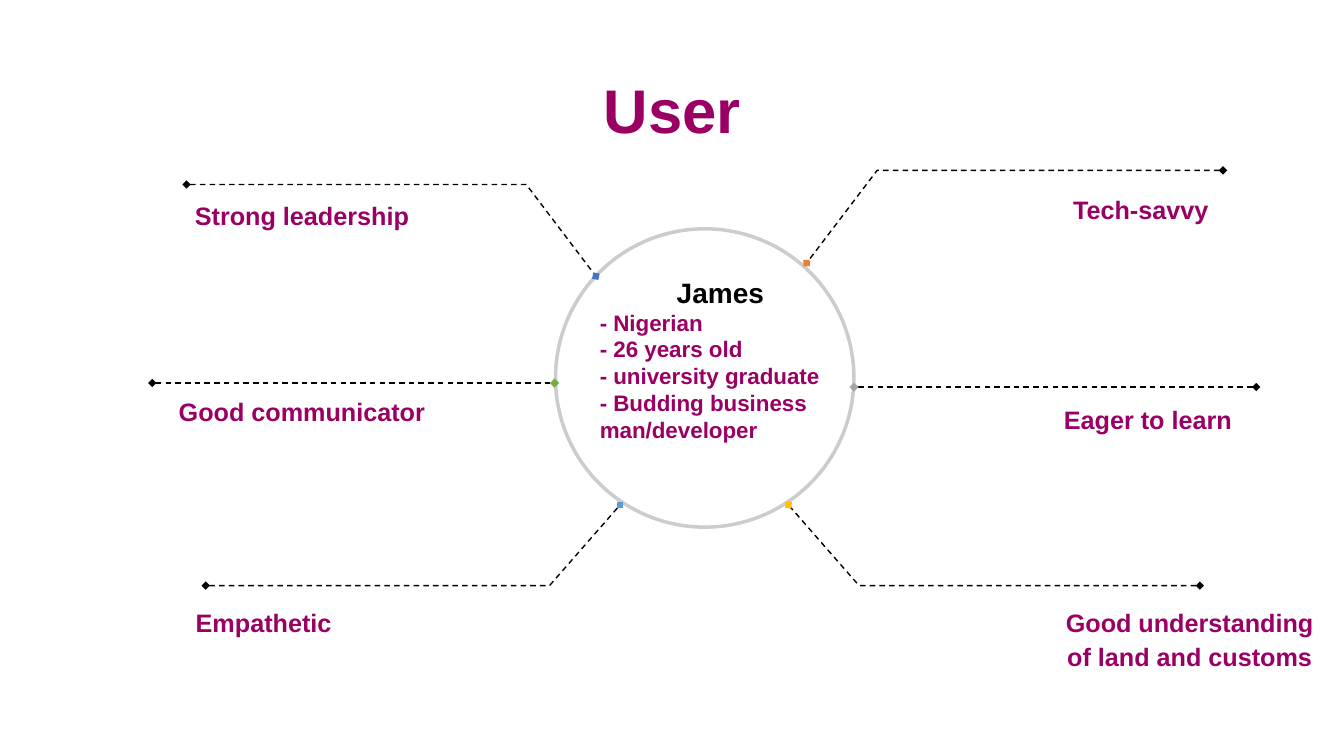
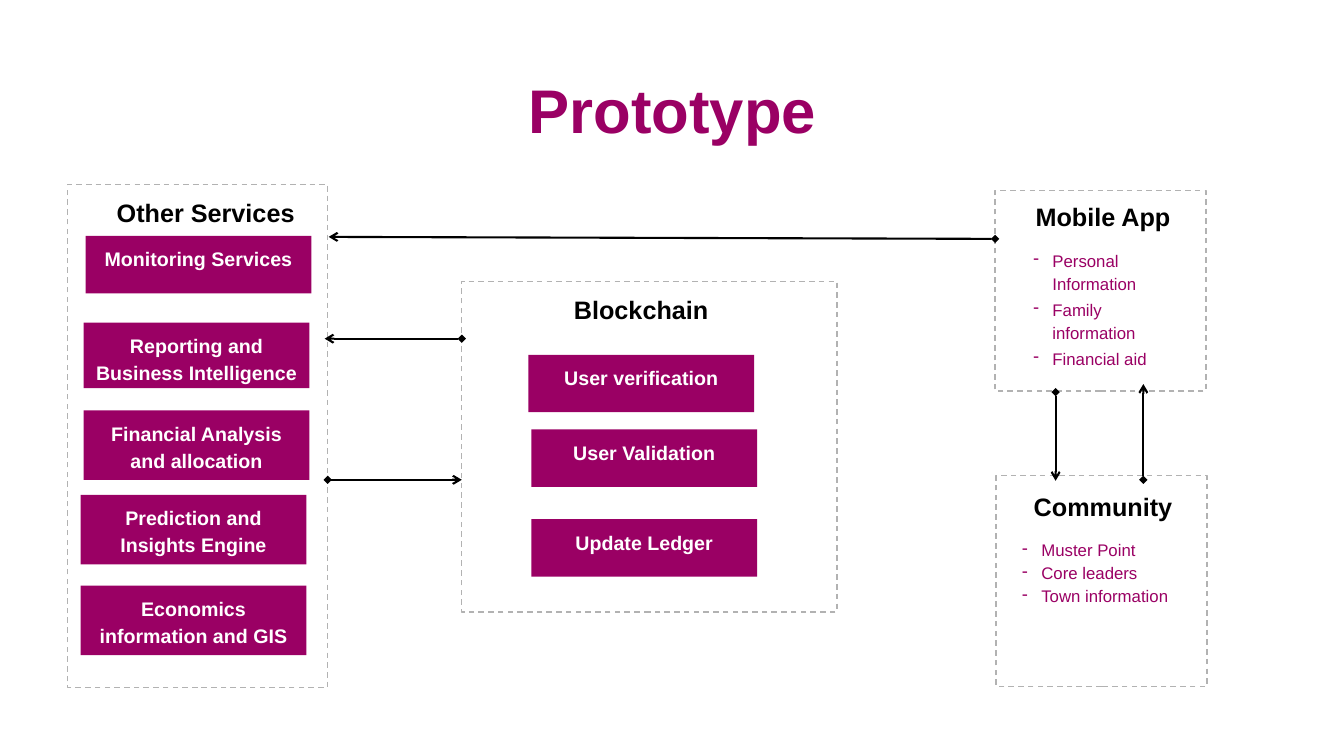
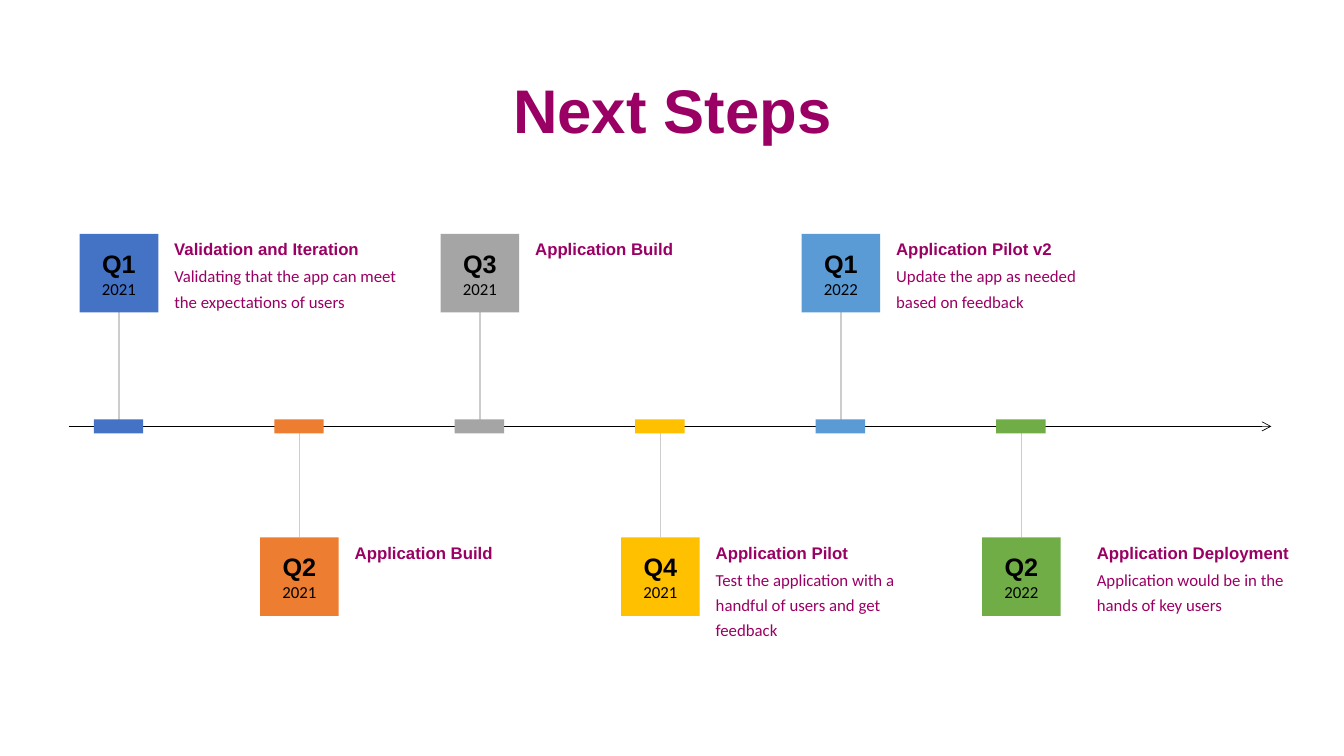
from dataclasses import dataclass, replace

from pptx import Presentation, util as u
from pptx.dml import color
from pptx.enum import dml, shapes, text
from pptx.oxml import ns
from lxml import etree

PLUM, BLACK, WHITE = "9A0064", "000000", "FFFFFF"
PALE, GREY = "CCCCCC", "B2B2B2"
BLUE, ORANGE, SILVER = "4472C4", "ED7D31", "A5A5A5"
GOLD, SKY, GREEN = "FFC000", "5B9BD5", "70AD47"

LEFT, CENTER = text.PP_ALIGN.LEFT, text.PP_ALIGN.CENTER
TOP, MIDDLE = text.MSO_ANCHOR.TOP, text.MSO_ANCHOR.MIDDLE
KIND = shapes.MSO_SHAPE


@dataclass(frozen=True)
class Style:
    size: float
    hue: str = PLUM
    bold: bool = True
    font: str = "Arial"
    align: int = CENTER
    lead: float = 1.0
    after: float = 0
    dash: bool = False


@dataclass(frozen=True)
class Box:
    left: float
    top: float
    width: float
    height: float

    def emu(self) -> list:
        return [u.Inches(v) for v in (self.left, self.top, self.width, self.height)]


@dataclass(frozen=True)
class Pen:
    hue: str = BLACK
    width: float = 1
    dash: bool = False
    head: str = ""
    tail: str = ""


@dataclass(frozen=True)
class Branch:
    label: str
    spot: Box
    points: tuple
    hue: str
    turn: float = 0


@dataclass(frozen=True)
class Card:
    label: str
    left: float
    top: float
    height: float = 0.57


@dataclass(frozen=True)
class Panel:
    label: str
    box: Box
    mid: float
    top: float


@dataclass(frozen=True)
class Step:
    quarter: str
    year: str
    hue: str
    label: str
    body: str = ""
    nudge: float = 0


TITLE = Style(44, lead=0.9)
HEAD = Style(18, BLACK)
TRAIT = Style(18, lead=1.14)
NAME = Style(20, BLACK)
FACT = Style(16, align=LEFT)
LABEL = Style(14, WHITE, lead=1.14, after=2)
ITEM = Style(12, bold=False, align=LEFT, lead=1.14, dash=True)
YEAR = Style(12, BLACK, False, "Calibri")
TOPIC = Style(12, align=LEFT, lead=1.2)
BODY = Style(12, PLUM, False, "Calibri", LEFT, 1.25)

BRANCHES = (
    Branch("Strong leadership", Box(1.7, 1.9, 2.59, 0.43),
           ((1.85, 1.83), (5.22, 1.83), (5.91, 2.74)), BLUE, 326),
    Branch("Good communicator", Box(1.46, 3.84, 3.07, 0.43),
           ((1.51, 3.8), (5.5, 3.8)), GREEN),
    Branch("Empathetic", Box(1.7, 5.93, 1.83, 0.43),
           ((2.04, 5.81), (5.45, 5.81), (6.15, 5.01)), SKY, 45),
    Branch("Good understanding of land and customs", Box(10.4, 5.93, 2.8, 0.78),
           ((11.9, 5.81), (8.52, 5.81), (7.82, 5.01)), GOLD, 49),
    Branch("Eager to learn", Box(10.4, 3.92, 1.97, 0.43),
           ((12.46, 3.84), (8.47, 3.84)), SILVER),
    Branch("Tech-savvy", Box(10.4, 1.84, 1.83, 0.43),
           ((12.13, 1.69), (8.7, 1.69), (8, 2.61)), ORANGE, 42),
)
FACTS = ("- Nigerian", "- 26 years old", "- university graduate",
         "- Budding business man/developer")

PANELS = (
    Panel("Blockchain", Box(4.58, 2.79, 3.72, 3.28), 6.36, 2.87),
    Panel("Other Services", Box(0.67, 1.83, 2.58, 4.99), 2.04, 1.91),
    Panel("Mobile App", Box(9.87, 1.89, 2.09, 1.99), 10.94, 1.95),
    Panel("Community", Box(9.88, 4.72, 2.09, 2.09), 10.94, 4.83),
)
CARDS = (
    Card("Monitoring Services", 0.85, 2.34),
    Card("Reporting and Business Intelligence", 0.83, 3.2, 0.65),
    Card("Financial Analysis and allocation", 0.83, 4.07, 0.69),
    Card("Prediction and Insights Engine", 0.8, 4.91, 0.69),
    Card("Economics information and GIS", 0.8, 5.81, 0.69),
    Card("User verification", 5.24, 3.52),
    Card("User Validation", 5.27, 4.26),
    Card("Update Ledger", 5.27, 5.15),
)
LISTS = (
    (Box(10.15, 2.38, 1.74, 1.4), replace(ITEM, after=2),
     ("Personal Information", "Family information", "Financial aid")),
    (Box(10.04, 5.25, 1.74, 1.4), ITEM,
     ("Muster Point", "Core leaders", "Town information")),
)
FLOWS = (
    ((9.87, 2.37), (3.26, 2.35)),
    ((4.58, 3.36), (3.22, 3.36)),
    ((3.25, 4.76), (4.58, 4.76)),
    ((10.47, 3.89), (10.47, 4.77)),
    ((11.34, 4.76), (11.34, 3.81)),
)

STEPS = (
    Step("Q1", "2021", BLUE, "Validation and Iteration",
         "Validating that the app can meet the expectations of users"),
    Step("Q2", "2021", ORANGE, "Application Build"),
    Step("Q3", "2021", SILVER, "Application Build"),
    Step("Q4", "2021", GOLD, "Application Pilot",
         "Test the application with a handful of users and get feedback"),
    Step("Q1", "2022", SKY, "Application Pilot v2",
         "Update the app as needed based on feedback"),
    Step("Q2", "2022", GREEN, "Application Deployment",
         "Application would be in the hands of key users", 0.2),
)


def rgb(hue: str) -> color.RGBColor:
    return color.RGBColor.from_string(hue)


def ink(line, pen: Pen) -> None:
    """Apply colour, width, dash and line ends."""
    line.color.rgb = rgb(pen.hue)
    line.width = u.Pt(pen.width)
    if pen.dash:
        line.dash_style = dml.MSO_LINE.DASH
    stroke = line.color._xFill.getparent()
    for tag, end in (("a:headEnd", pen.head), ("a:tailEnd", pen.tail)):
        if end:
            etree.SubElement(stroke, ns.qn(tag), type=end)


def write(shape, lines, anchor=TOP, inset: float = 0.05) -> None:
    """Fill a shape with (words, style) paragraphs."""
    frame = shape.text_frame
    frame.word_wrap = True
    frame.vertical_anchor = anchor
    frame.margin_left = frame.margin_right = u.Inches(0.1)
    frame.margin_top = u.Inches(inset)
    frame.margin_bottom = u.Inches(0.05)
    for i, (words, style) in enumerate(lines):
        para = frame.add_paragraph() if i else frame.paragraphs[0]
        if style.dash:
            props = para._p.get_or_add_pPr()
            props.set("marL", str(u.Inches(0.19)))
            props.set("indent", str(-u.Inches(0.19)))
            etree.SubElement(props, ns.qn("a:buChar"), char="-")
        para.alignment = style.align
        para.line_spacing = style.lead
        para.space_after = u.Pt(style.after)
        run = para.add_run()
        run.text = words
        run.font.size = u.Pt(style.size)
        run.font.name = style.font
        run.font.bold = style.bold
        run.font.color.rgb = rgb(style.hue)


def note(slide, box: Box, *lines, anchor=TOP, inset: float = 0.05) -> None:
    write(slide.shapes.add_textbox(*box.emu()), lines, anchor, inset)


def block(slide, box: Box, fill: str = "", pen: Pen | None = None, kind=KIND.RECTANGLE):
    shape = slide.shapes.add_shape(kind, *box.emu())
    shape.shadow.inherit = False
    if fill:
        shape.fill.solid()
        shape.fill.fore_color.rgb = rgb(fill)
    else:
        shape.fill.background()
    if pen:
        ink(shape.line, pen)
    else:
        shape.line.fill.background()
    return shape


def link(slide, start: tuple, end: tuple, pen: Pen) -> None:
    ends = [u.Inches(v) for v in (*start, *end)]
    line = slide.shapes.add_connector(shapes.MSO_CONNECTOR.STRAIGHT, *ends)
    ink(line.line, pen)
    etree.SubElement(line._element.spPr, ns.qn("a:effectLst"))


def bend(slide, points: tuple, pen: Pen) -> None:
    """Draw an open line through several points."""
    first, *rest = [(u.Inches(x), u.Inches(y)) for x, y in points]
    build = slide.shapes.build_freeform(*first)
    build.add_line_segments(rest, close=False)
    shape = build.convert_to_shape()
    shape.shadow.inherit = False
    shape.fill.background()
    ink(shape.line, pen)


def start(deck, title: str):
    """Add a blank slide with the shared title."""
    slide = deck.slides.add_slide(deck.slide_layouts[6])
    note(slide, Box(0.92, 0.4, 11.5, 1.45), (title, TITLE), anchor=MIDDLE)
    return slide


def user(deck) -> None:
    slide = start(deck, "User")
    note(slide, Box(5.85, 2.68, 2.59, 1.8), ("James", NAME),
         *((fact, FACT) for fact in FACTS))
    block(slide, Box(5.51, 2.27, 2.96, 2.96), pen=Pen(PALE, 2.5), kind=KIND.OVAL)
    pen, size = Pen(dash=True, head="diamond"), 0.09
    for branch in BRANCHES:
        if len(branch.points) == 2:
            link(slide, *branch.points, pen)
        else:
            bend(slide, branch.points, pen)
        x, y = branch.points[-1]
        mark = block(slide, Box(x - size / 2, y - size / 2, size, size),
                     branch.hue, kind=KIND.DIAMOND)
        mark.rotation = branch.turn
        note(slide, branch.spot, (branch.label, TRAIT))


def model(deck) -> None:
    slide = start(deck, "Prototype")
    for panel in PANELS:
        block(slide, panel.box, WHITE, Pen(GREY, dash=True))
        note(slide, Box(panel.mid - 1.1, panel.top, 2.2, 0.4), (panel.label, HEAD))
    for box, style, items in LISTS:
        note(slide, box, *((item, style) for item in items), inset=0.08)
    for card in CARDS:
        shape = block(slide, Box(card.left, card.top, 2.24, card.height), PLUM)
        write(shape, [(card.label, LABEL)], inset=0.08)
    for begin, end in FLOWS:
        link(slide, begin, end, Pen(width=1.5, head="diamond", tail="arrow"))


def plan(deck) -> None:
    slide = start(deck, "Next Steps")
    axis, pitch, side = 4.23, 1.79, 0.78
    link(slide, (0.68, axis), (12.61, axis), Pen(width=0.5, tail="arrow"))
    for i, step in enumerate(STEPS):
        left = 0.79 + pitch * i
        above = i % 2 == 0
        top = 2.32 if above else 5.33
        stem = left + side / 2
        link(slide, (stem, top + side if above else top), (stem, axis), Pen(PALE))
        block(slide, Box(stem - 0.25, axis - 0.07, 0.49, 0.14), step.hue)
        tile = block(slide, Box(left, top, side, side), step.hue)
        write(tile, [(step.quarter, HEAD), (step.year, YEAR)], MIDDLE)
        side_x = left + 0.84 + step.nudge
        note(slide, Box(side_x, top - 0.04, 2.44, 0.32), (step.label, TOPIC))
        if step.body:
            note(slide, Box(side_x, top + 0.22, 2.42, 0.59), (step.body, BODY))


def main() -> None:
    deck = Presentation()
    deck.slide_width, deck.slide_height = u.Inches(13.33), u.Inches(7.5)
    for draw in (user, model, plan):
        draw(deck)
    deck.save("out.pptx")


if __name__ == "__main__":
    main()
